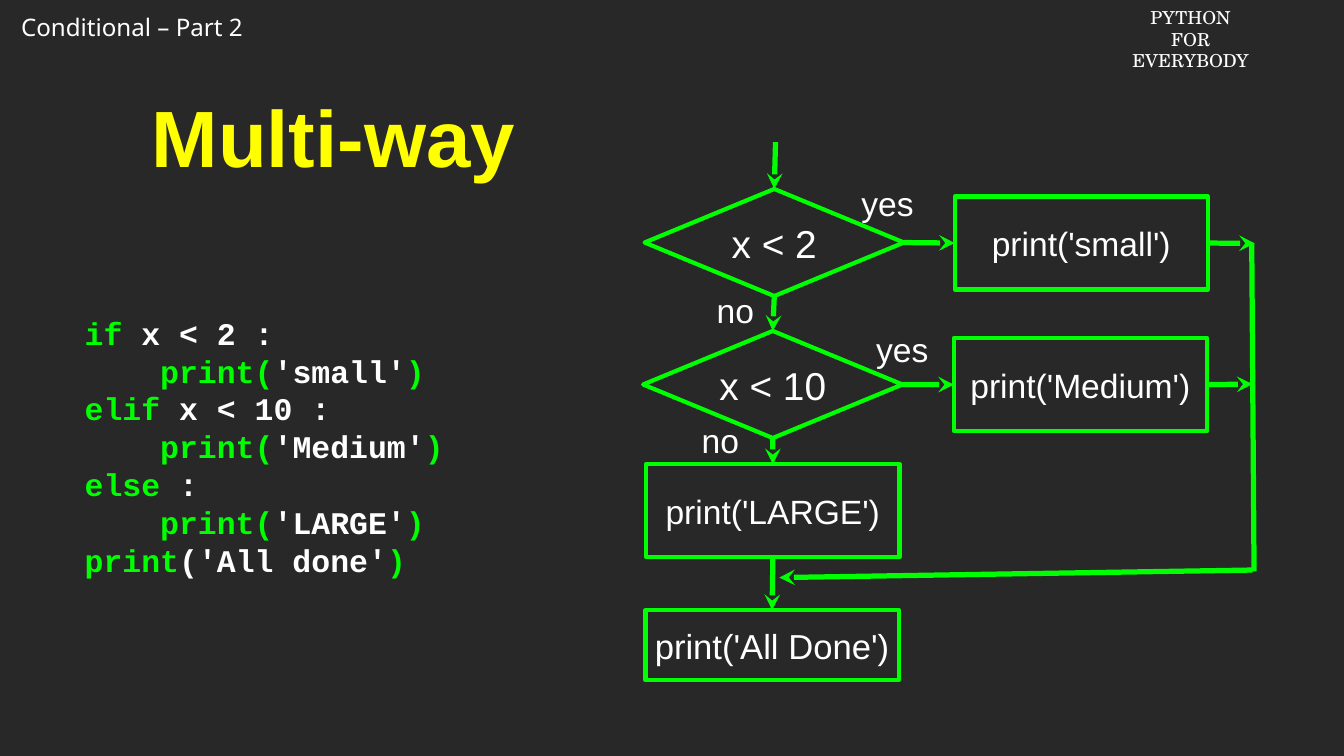
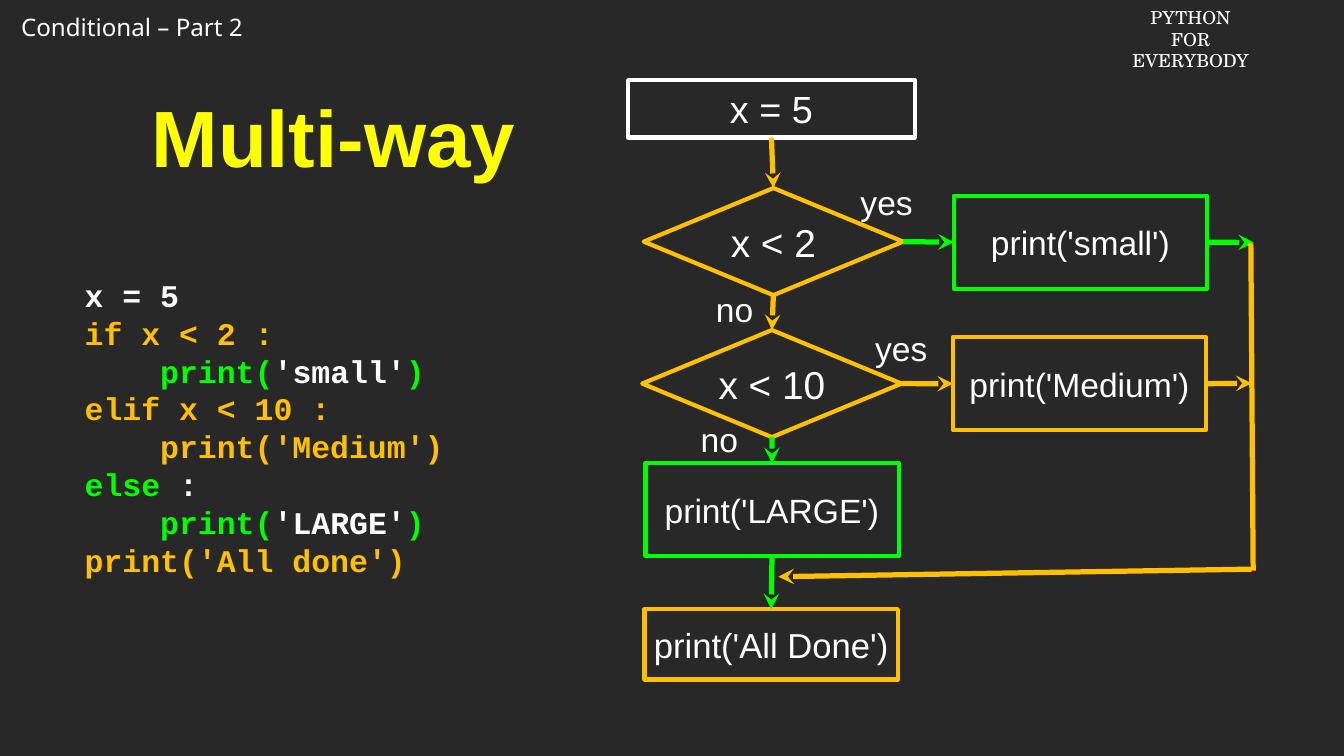
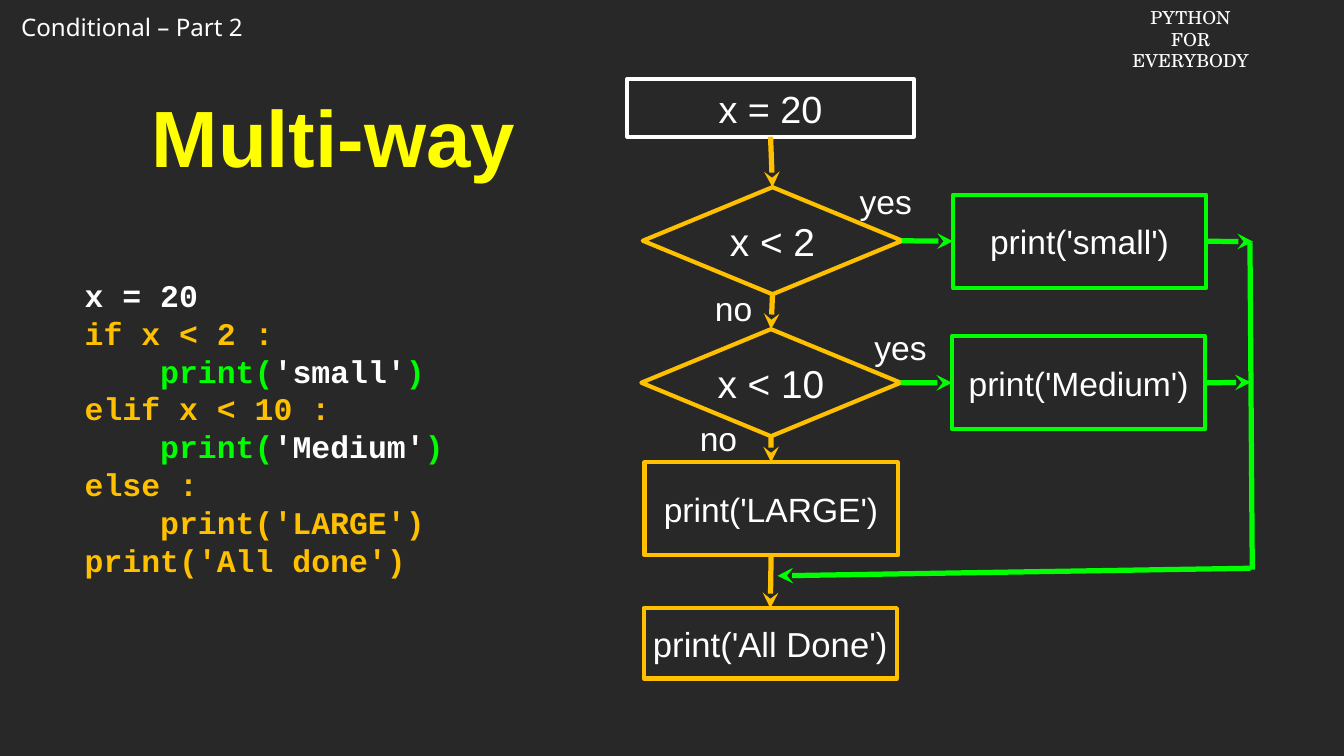
"""Build three slides that trace a multi-way conditional through its flowchart."""
from itertools import cycle

from lxml.etree import SubElement
from pptx import Presentation
from pptx.dml.color import RGBColor
from pptx.enum.shapes import MSO_CONNECTOR, MSO_SHAPE
from pptx.enum.text import MSO_ANCHOR, MSO_AUTO_SIZE, PP_ALIGN
from pptx.oxml.ns import qn
from pptx.util import Pt

COLORS = {"back": "282828", "text": "FFFFFF", "title": "FFFF00",
          "plain": "00FF00", "taken": "FFC000"}
TOP, LEFT, BOTTOM, RIGHT = range(4)

CODE = {
    "if": ("if ", "x < 2 :"),
    "small": ("    print(", "'small'", ")"),
    "elif": ("elif", " x < 10 :"),
    "Medium": ("    print(", "'Medium'", ")"),
    "else": ("else", " :"),
    "LARGE": ("    print(", "'LARGE'", ")"),
    "done": ("print", "('All done'", ")"),
}
NODES = {
    "if": (MSO_SHAPE.DIAMOND, "x < 2", 37, (614, 180, 247, 102)),
    "small": (MSO_SHAPE.RECTANGLE, "print('small')", 32, (909.4, 187.2, 241.2, 88.6)),
    "elif": (MSO_SHAPE.DIAMOND, "x < 10", 37, (612.6, 315.2, 247, 102)),
    "Medium": (MSO_SHAPE.RECTANGLE, "print('Medium')", 32, (908.6, 322, 241.2, 88.6)),
    "LARGE": (MSO_SHAPE.RECTANGLE, "print('LARGE')", 32, (615.6, 442, 241.2, 88.6)),
    "done": (MSO_SHAPE.RECTANGLE, "print('All Done')", 33, (614.8, 581, 241.2, 67)),
}
EDGES = [("if", RIGHT, "small", LEFT), ("if", BOTTOM, "elif", TOP),
         ("elif", RIGHT, "Medium", LEFT), ("elif", BOTTOM, "LARGE", TOP),
         ("LARGE", BOTTOM, "done", TOP)]
EXITS = {"small": (1195.2, 231.8), "Medium": (1193, 365.8)}
ANSWERS = [("yes", (818, 173.6, 54.8, 39)), ("no", (681.8, 275.8, 37.4, 39)),
           ("yes", (828.8, 313.2, 61.2, 39)), ("no", (667.4, 399.6, 37.4, 39))]
TRACES = [
    (None, set()),
    ("x = 5", {"if", "elif", "Medium", "done"}),
    ("x = 20", {"if", "elif", "else", "LARGE", "done"}),
]


def rgb(name):
    return RGBColor.from_string(COLORS[name])


class Deck:
    def __init__(self):
        self.prs = Presentation()
        self.prs.slide_width, self.prs.slide_height = Pt(1280.16), Pt(720)
        fill = self.prs.slide_master.background.fill
        fill.solid()
        fill.fore_color.rgb = rgb("back")
        self.s = None
        self.shift = 0

    def new_slide(self, title):
        self.s = self.prs.slides.add_slide(self.prs.slide_layouts[5])
        self.shift = 0
        self.text("Conditional – Part 2", (13, 8.6, 236, 35.3), 23, "Noto Sans",
                  align=PP_ALIGN.LEFT, anchor=MSO_ANCHOR.TOP, insets=(7.2, 3.6))
        tf = self.text("PYTHON\vFOR\nEVERYBODY", (1071.4, 2.9, 125.3, 48.2), 17,
                       "TeX Gyre Schola", anchor=MSO_ANCHOR.TOP, insets=(7.2, 3.6))
        tf.word_wrap = False
        sp = self.s.shapes.title
        self.place(sp, (90.7, 59, 453.6, 141.1))
        self.label(sp, title, 76, color="title", bold=True, insets=(2.9, 2.9))

    def place(self, sp, box):
        sp.left, sp.top, sp.width, sp.height = (Pt(v) for v in box)

    def moved(self, x, y):
        return Pt(round(x - self.shift, 2)), Pt(round(y - self.shift, 2))

    def style(self, p, size, font, color, bold=False):
        p.font.size, p.font.name, p.font.bold = Pt(size), font, bold
        p.font.color.rgb = rgb(color)

    def frame(self, sp, anchor=MSO_ANCHOR.MIDDLE, insets=(0, 0)):
        tf = sp.text_frame
        tf.word_wrap, tf.auto_size = True, MSO_AUTO_SIZE.NONE
        tf.vertical_anchor = anchor
        tf.margin_left = tf.margin_right = Pt(insets[0])
        tf.margin_top = tf.margin_bottom = Pt(insets[1])
        return tf

    def label(self, sp, text, size, font="Arial", color="text", bold=False,
              align=PP_ALIGN.CENTER, anchor=MSO_ANCHOR.MIDDLE, insets=(0, 0)):
        tf = self.frame(sp, anchor, insets)
        tf.text = text
        for p in tf.paragraphs:
            p.alignment = align
            self.style(p, size, font, color, bold)
        return tf

    def text(self, text, box, size, font="Arial", **options):
        x, y, w, h = box
        sp = self.s.shapes.add_textbox(*self.moved(x, y), Pt(w), Pt(h))
        return self.label(sp, text, size, font, **options)

    def node(self, kind, text, size, box, color):
        x, y, w, h = box
        sp = self.s.shapes.add_shape(kind, *self.moved(x, y), Pt(w), Pt(h))
        sp.shadow.inherit = False
        sp.fill.background()
        sp.line.color.rgb, sp.line.width = rgb(color), Pt(4)
        self.label(sp, text, size)
        return sp

    def line(self, start, end, color, arrow=True):
        """Draw from start to end, each a point or a (shape, side) pair."""
        joined = [not isinstance(e[0], (int, float)) for e in (start, end)]
        points = [(0, 0) if j else self.moved(*e)
                  for j, e in zip(joined, (start, end))]
        c = self.s.shapes.add_connector(MSO_CONNECTOR.STRAIGHT, *points[0], *points[1])
        if joined[0]:
            c.begin_connect(*start)
        if joined[1]:
            c.end_connect(*end)
        c.line.color.rgb, c.line.width = rgb(color), Pt(5)
        properties = c.element.spPr
        if arrow:
            SubElement(properties.find(qn("a:ln")), qn("a:tailEnd"), type="stealth")
        SubElement(properties, qn("a:effectLst"))

    def code(self, assignment, taken):
        sp = self.s.shapes.add_textbox(Pt(80.6), Pt(231.1), Pt(401.8), Pt(351.4))
        tf = self.frame(sp)
        lines = [[(part, color) for part, color in zip(parts, cycle(("plain", "text")))]
                 if key not in taken else [("".join(parts), "taken")]
                 for key, parts in CODE.items()]
        if assignment:
            lines.insert(0, [(assignment, "text")])
        else:
            tf.margin_top = Pt(36)
        for i, runs in enumerate(lines):
            p = tf.add_paragraph() if i else tf.paragraphs[0]
            p.line_spacing = Pt(36)
            self.style(p, 30, "Courier New", "text", bold=True)
            for part, color in runs:
                r = p.add_run()
                r.text = part
                r.font.color.rgb = rgb(color)

    def flowchart(self, assignment, taken):
        def shade(*keys):
            return "taken" if taken.issuperset(keys) else "plain"

        nodes = {key: self.node(*args, shade(key)) for key, args in NODES.items()}
        entry = (738.7, 135.4)
        if assignment:
            box = (599.2, 77.2, 272.9, 54.7)
            entry = (self.node(MSO_SHAPE.RECTANGLE, assignment, 36, box, "text"), BOTTOM)
        self.line(entry, (nodes["if"], TOP), shade("if"))
        for a, side_a, b, side_b in EDGES:
            self.line((nodes[a], side_a), (nodes[b], side_b), shade(a, b))
        for key, point in EXITS.items():
            self.line((nodes[key], RIGHT), point, shade(key))
        self.line((1192.3, 232.6), (1194.5, 544.3), shade("Medium"), arrow=False)
        self.line((1193, 542.9), (742.3, 550.1), shade("Medium"))
        for answer, box in ANSWERS:
            self.text(answer, box, 32)


def main():
    deck = Deck()
    for i, (assignment, taken) in enumerate(TRACES):
        deck.new_slide("Multi-way")
        deck.code(assignment, taken)
        deck.shift = 0.85 * i
        deck.flowchart(assignment, taken)
    deck.prs.save("out.pptx")


if __name__ == "__main__":
    main()
